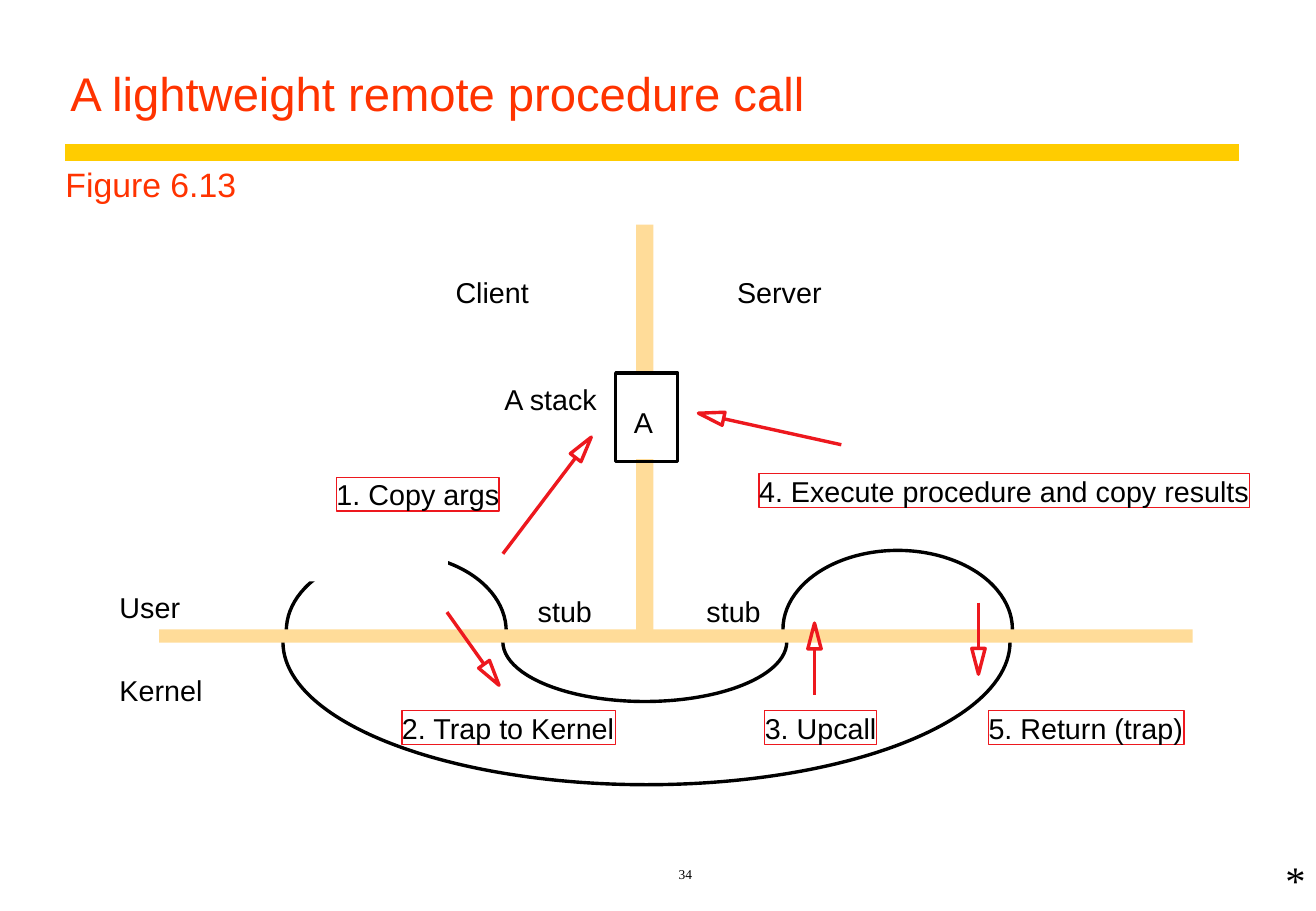
import math

from lxml import etree
from pptx import Presentation
from pptx import util as u
from pptx.dml.color import RGBColor
from pptx.enum import shapes, text
from pptx.oxml.ns import qn

ORANGE, YELLOW, SAND = "FF3300", "FFCC00", "FFDC99"
RED, BLACK, WHITE = "ED181E", "000000", "FFFFFF"
SHAPE = shapes.MSO_SHAPE
LABEL_HEIGHT = 0.71


def colour(hex_string):
    return RGBColor.from_string(hex_string)


def place(box, left, top, width, height):
    """Turn an area in cm, measured from the box corner, into slide lengths."""
    return [u.Cm(value) for value in (box[0] + left, box[1] + top, width, height)]


def paint(part, fill=None, line=None, weight=2):
    if fill:
        part.fill.solid()
        part.fill.fore_color.rgb = colour(fill)
    else:
        part.fill.background()
    if line:
        part.line.color.rgb = colour(line)
        part.line.width = u.Pt(weight)
    else:
        part.line.fill.background()


def write(frame, content, size=17, font="Arial", ink=BLACK, align=text.PP_ALIGN.LEFT,
          anchor=text.MSO_ANCHOR.TOP, inset=(0, 0), wrap=False, spacing=None):
    frame.word_wrap = wrap
    frame.auto_size = text.MSO_AUTO_SIZE.NONE
    frame.vertical_anchor = anchor
    frame.margin_left = frame.margin_right = u.Cm(inset[0])
    frame.margin_top = frame.margin_bottom = u.Cm(inset[1])
    paragraph = frame.paragraphs[0]
    paragraph.alignment = align
    paragraph.line_spacing = spacing
    run = paragraph.add_run()
    run.text = content
    run.font.size = u.Pt(size)
    run.font.name = font
    run.font.color.rgb = colour(ink)


def add_text(slide, area, content, outline=None, **style):
    label = slide.shapes.add_textbox(*area)
    paint(label, line=outline, weight=0.75)
    write(label.text_frame, content, **style)


def add_figure(slide, kind, area, **look):
    figure = slide.shapes.add_shape(kind, *area)
    figure.shadow.inherit = False
    paint(figure, **look)
    return figure


def add_line(slide, start, end, ink, weight):
    line = slide.shapes.add_connector(
        shapes.MSO_CONNECTOR.STRAIGHT, *[u.Cm(value) for value in (*start, *end)])
    line.line.color.rgb = colour(ink)
    line.line.width = u.Pt(weight)
    etree.SubElement(line._element.spPr, qn("a:effectLst"))


def add_arrow(slide, tail, tip, length=0.54, half_width=0.14):
    """Draw a line from the tail that ends in a hollow triangle at the tip."""
    reach = math.dist(tail, tip)
    dx, dy = (tip[0] - tail[0]) / reach, (tip[1] - tail[1]) / reach
    base = (tip[0] - dx * length, tip[1] - dy * length)
    sides = [(base[0] - dy * side, base[1] + dx * side)
             for side in (half_width, -half_width)]
    add_line(slide, tail, base, RED, 2)
    outline = slide.shapes.build_freeform(u.Cm(base[0]), u.Cm(base[1]))
    outline.add_line_segments(
        [(u.Cm(x), u.Cm(y)) for x, y in (sides[0], tip, sides[1])], close=True)
    head = outline.convert_to_shape()
    head.shadow.inherit = False
    paint(head, line=RED)


def heading(slide, box):
    title = slide.shapes.title
    title.left, title.top, title.width, title.height = place(box, 0, 0, 24.69, 2.03)
    write(title.text_frame, "A lightweight remote procedure call", size=28, ink=ORANGE,
          anchor=text.MSO_ANCHOR.BOTTOM, inset=(0.25, 0.13), wrap=True, spacing=0.9)
    rule_y = box[1] + 2.54
    add_line(slide, (box[0] + 0.15, rule_y), (box[0] + 24.69, rule_y), YELLOW, 10)
    add_text(slide, place(box, -0.1, 2.66, 4.09, 1.12), "Figure 6.13",
             size=20, ink=ORANGE, inset=(0.25, 0.13))


def domains(slide, box):
    """Draw the client, server and kernel areas with the call loop through them."""
    add_figure(slide, SHAPE.RECTANGLE, place(box, 10.81, 0, 0.36, 8.69), fill=SAND)
    for loop in ((13.88, 6.81, 4.8, 3.3), (3.49, 6.88, 4.6, 3.23)):
        add_figure(slide, SHAPE.OVAL, place(box, *loop), fill=WHITE, line=BLACK)
    for mask in ((2.05, 8.61, 6.6, 2.08), (12.89, 8.61, 6.68, 2.08),
                 (2.2, 6.32, 4.67, 1.14), (10.38, 3.1, 1.22, 1.8)):
        add_figure(slide, SHAPE.RECTANGLE, place(box, *mask), fill=WHITE)
    add_figure(slide, SHAPE.RECTANGLE, place(box, 10.38, 3.1, 1.3, 1.85), line=BLACK)
    for kernel_path in ((3.42, 5.74, 15.21, 5.97), (8.02, 7.47, 5.94, 2.5)):
        arc = add_figure(slide, SHAPE.ARC, place(box, *kernel_path), line=BLACK)
        arc.adjustments[0], arc.adjustments[1] = 0, 108
    add_figure(slide, SHAPE.RECTANGLE, place(box, 0.83, 8.46, 21.62, 0.28), fill=SAND)
    for name, left, top, width in (
            ("Client", 7.03, 1.04, 1.55), ("Server", 12.92, 1.04, 1.78),
            ("User", 0, 7.64, 1.27), ("Kernel", 0, 9.37, 1.75),
            ("stub", 8.75, 7.72, 1.14), ("stub", 12.28, 7.72, 1.14),
            ("A stack", 8.05, 3.28, 1.97), ("A", 10.76, 3.76, 0.41)):
        add_text(slide, place(box, left, top, width, LABEL_HEIGHT), name)


def call_steps(slide, box):
    for step, left, top, width, tail, tip in (
            ("1. Copy args", 4.54, 5.28, 3.4, (8.02, 6.88), (9.87, 4.44)),
            ("2. Trap to Kernel", 5.91, 10.16, 4.47, (6.85, 8.1), (7.94, 9.63)),
            ("3. Upcall", 13.5, 10.16, 2.34, (14.54, 9.83), (14.54, 8.33)),
            ("4. Execute procedure and copy results", 13.38, 5.21, 10.26,
             (15.1, 4.6), (12.11, 3.94)),
            ("5. Return (trap)", 18.18, 10.16, 4.09, (17.97, 7.9), (17.97, 9.4))):
        add_text(slide, place(box, left, top, width, LABEL_HEIGHT), step, outline=RED)
        add_arrow(slide, *[(box[0] + x, box[1] + y) for x, y in (tail, tip)])


def footer(slide, box):
    style = dict(font="Times New Roman", inset=(0.25, 0.13), wrap=True)
    add_text(slide, place(box, 0, 0.03, 16.74, 0.79), "34", size=8,
             align=text.PP_ALIGN.CENTER, anchor=text.MSO_ANCHOR.BOTTOM, **style)
    add_text(slide, place(box, 20.67, 0, 0.84, 1.27), "*", size=24, **style)


def main():
    deck = Presentation()
    deck.slide_width, deck.slide_height = u.Cm(27.53), u.Cm(19.05)
    slide = deck.slides.add_slide(deck.slide_layouts[5])
    diagram = (2.5, 4.7)
    heading(slide, (1.22, 0.64))
    domains(slide, diagram)
    call_steps(slide, diagram)
    footer(slide, (5.97, 17.75))
    deck.save("out.pptx")


if __name__ == "__main__":
    main()
